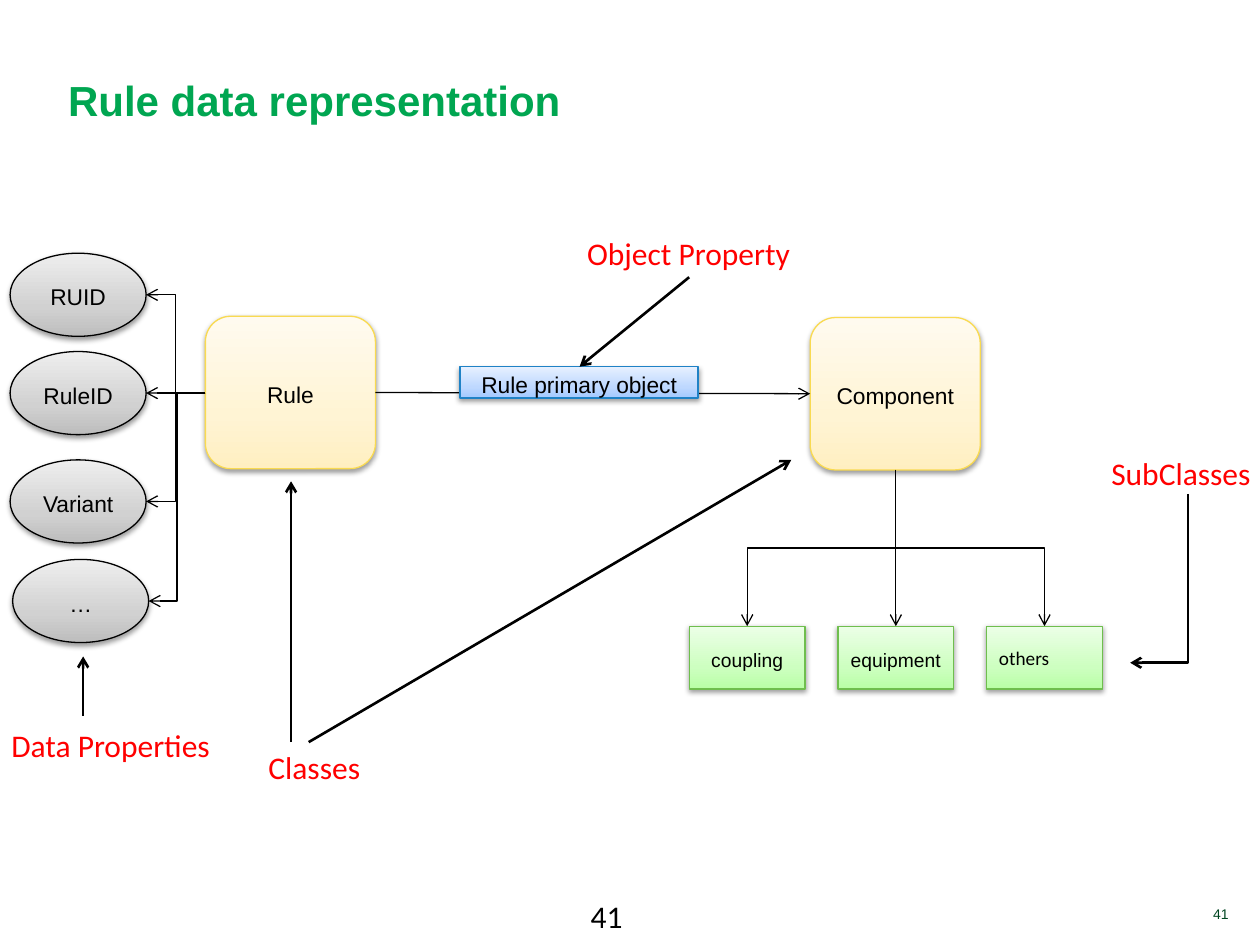
from collections import namedtuple
from dataclasses import dataclass

from lxml import etree
from pptx import Presentation
from pptx.dml.color import RGBColor
from pptx.enum.shapes import MSO_CONNECTOR, MSO_SHAPE
from pptx.enum.text import MSO_ANCHOR, PP_ALIGN
from pptx.oxml import parse_xml
from pptx.oxml.ns import nsdecls, qn
from pptx.util import Inches, Pt

STRAIGHT, ELBOW = MSO_CONNECTOR.STRAIGHT, MSO_CONNECTOR.ELBOW
RECT, ROUND, OVAL = MSO_SHAPE.RECTANGLE, MSO_SHAPE.ROUNDED_RECTANGLE, MSO_SHAPE.OVAL
LEFT, CENTER, RIGHT = PP_ALIGN.LEFT, PP_ALIGN.CENTER, PP_ALIGN.RIGHT
TOP, MIDDLE, BOTTOM = MSO_ANCHOR.TOP, MSO_ANCHOR.MIDDLE, MSO_ANCHOR.BOTTOM

COLS, ROWS = 100, 75
Box = namedtuple("Box", "x y w h")
Paint = namedtuple("Paint", "low mid high edge")


@dataclass(frozen=True)
class Theme:
    head: str = "Arial"
    body: str = "Calibri"
    black: str = "000000"
    green: str = "00A651"
    dark_green: str = "004621"
    red: str = "FF0000"
    yellow: Paint = Paint("FFEFC1", "FFF4D4", "FFFAEF", "F9DA51")
    blue: Paint = Paint("A3C9FF", "BED8FF", "E6F0FF", "1F82C6")
    lime: Paint = Paint("B9FFA6", "CDFFC0", "ECFFE7", "6FBE4E")
    grey: Paint = Paint("BDBDBD", "D1D1D1", "EEEEEE", "000000")
    title: int = 24
    label: int = 18
    node: int = 13
    leaf: int = 11
    footer: int = 8
    thin: float = 0.75
    thick: float = 1.5


T = Theme()


def cells(n):
    return Inches(round(n / 10, 3))


def write(s, text, size=T.node, font=T.head, color=T.black, bold=False,
          align=CENTER, anchor=MIDDLE, spacing=None):
    tf = s.text_frame
    tf.word_wrap = True
    tf.vertical_anchor = anchor
    p = tf.paragraphs[0]
    p.alignment = align
    if spacing:
        p.line_spacing = spacing
    r = p.add_run()
    r.text = text
    r.font.size, r.font.name, r.font.bold = Pt(size), font, bold
    r.font.color.rgb = RGBColor.from_string(color)


def add_node(slide, kind, box, paint, text, **fmt):
    s = slide.shapes.add_shape(kind, *map(cells, box))
    stops = "".join(
        f'<a:gs pos="{pos}"><a:srgbClr val="{color}"/></a:gs>'
        for pos, color in zip((0, 35000, 100000), paint))
    s._element.spPr.insert(2, parse_xml(
        f'<a:gradFill {nsdecls("a")} rotWithShape="1"><a:gsLst>{stops}</a:gsLst>'
        '<a:lin ang="16200000" scaled="0"/></a:gradFill>'))
    s.line.color.rgb = RGBColor.from_string(paint.edge)
    s.line.width = Pt(T.thin)
    s.shadow.inherit = False
    s._element.spPr.find(qn("a:effectLst")).append(parse_xml(
        f'<a:outerShdw {nsdecls("a")} blurRad="{Pt(3.1)}" dist="{Pt(1.6)}" '
        'dir="5400000" rotWithShape="0"><a:srgbClr val="000000">'
        '<a:alpha val="38000"/></a:srgbClr></a:outerShdw>'))
    write(s, text, **{"spacing": 1.15, **fmt})


def add_arrow(slide, start, end, kind=STRAIGHT, width=T.thin):
    s = slide.shapes.add_connector(kind, *map(cells, (*start, *end)))
    s.line.color.rgb = RGBColor.from_string(T.black)
    s.line.width = Pt(width)
    etree.SubElement(s.line._get_or_add_ln(), qn("a:tailEnd"), type="arrow")
    etree.SubElement(s._element.spPr, qn("a:effectLst"))
    return s


def add_drop(slide, start, end, bend=50000, width=T.thin):
    (x1, y1), (x2, y2) = start, end
    cx, cy = (x1 + x2) / 2, (y1 + y2) / 2
    half_w, half_h = (y2 - y1) / 2, (x2 - x1) / 2
    s = add_arrow(slide, (cx - half_w, cy + half_h), (cx + half_w, cy - half_h),
                  ELBOW, width)
    s._element.spPr.find(qn("a:xfrm")).set("rot", "5400000")
    guides = s._element.spPr.find(qn("a:prstGeom")).get_or_add_avLst()
    etree.SubElement(guides, qn("a:gd"), name="adj1", fmla=f"val {bend}")


def add_label(slide, box, text, **fmt):
    s = slide.shapes.add_textbox(*map(cells, box))
    write(s, text, **{"size": T.label, "font": T.body, "align": LEFT, "anchor": TOP,
                      **fmt})
    return s


def add_caption(slide, box, text):
    s = add_label(slide, box, text, color=T.red)
    s.text_frame.margin_left, s.text_frame.margin_right = Inches(0.09), 0


def add_title(slide, box):
    s = slide.shapes.title
    s.left, s.top, s.width, s.height = map(cells, box)
    write(s, "Rule data representation", size=T.title, color=T.green, bold=True,
          align=LEFT, anchor=BOTTOM)


def add_classes(slide, box):
    side, mid = 13.5, box.y + box.h / 2
    add_node(slide, ROUND, Box(box.x, box.y, side, box.h), T.yellow, "Rule")
    right = box.x + box.w - side
    add_node(slide, ROUND, Box(right, box.y + 0.1, side, box.h), T.yellow, "Component")
    add_arrow(slide, (box.x + side, mid), (right, mid + 0.1))
    add_node(slide, RECT, Box(box.x + 20.2, box.y + 4, 18.9, 2.5), T.blue,
             "Rule primary object")


def add_subclasses(slide, box):
    w, h = 9.2, 5
    gap = (box.w - 3 * w) / 2
    root = box.x + box.w / 2, box.y
    formats = {"coupling": {}, "equipment": {},
               "others": {"font": T.body, "align": LEFT, "spacing": None}}
    for i, (text, fmt) in enumerate(formats.items()):
        x, y = box.x + i * (w + gap), box.y + box.h - h
        add_drop(slide, root, (x + w / 2, y))
        add_node(slide, RECT, Box(x, y, w, h), T.lime, text, size=T.leaf, **fmt)


def add_properties(slide, box):
    w, h = 10.8, 6.6
    source = box.x + box.w, box.y + 11.1
    places = {"RUID": (0, 0), "RuleID": (0, 7.8), "Variant": (0, 16.4), "…": (0.2, 24.3)}
    for text, (dx, dy) in places.items():
        x, y = box.x + dx, box.y + dy
        add_node(slide, OVAL, Box(x, y, w, h), T.grey, text)
        add_arrow(slide, source, (x + w, y + h / 2), ELBOW)


def add_captions(slide, box):
    captions = {"Data Properties": (0, 39, 17.7), "Object Property": (45.7, 0, 18),
                "Classes": (20.4, 40.8, 9.1), "SubClasses": (87.3, 17.4, 12.7)}
    for text, (dx, dy, w) in captions.items():
        add_caption(slide, Box(box.x + dx, box.y + dy, w, 3.9), text)
    pointers = [((23.1, 40.8), (23.1, 20.1)), ((24.5, 40.8), (62.8, 18.4)),
                ((6.6, 38.7), (6.6, 34)), ((54.7, 3.9), (46, 11))]
    for pair in pointers:
        add_arrow(slide, *[(box.x + dx, box.y + dy) for dx, dy in pair], width=T.thick)
    add_drop(slide, (box.x + 94.3, box.y + 21.1), (box.x + 89.7, box.y + 34.5),
             bend=100000, width=T.thick)


def add_footer(slide, box):
    add_label(slide, Box(box.x, box.y, 8.4, 2.4), "41")
    add_label(slide, Box(box.x + box.w - 13.1, box.y + 0.7, 13.1, 2.3), "41",
              size=T.footer, font=T.head, color=T.dark_green, align=RIGHT, anchor=BOTTOM)


def main():
    prs = Presentation()
    prs.slide_width, prs.slide_height = cells(COLS), cells(ROWS)
    slide = prs.slides.add_slide(prs.slide_layouts[5])
    add_title(slide, Box(4.4, 3.6, 92.3, 6.8))
    add_classes(slide, Box(16.3, 25.1, 61.5, 12.1))
    add_subclasses(slide, Box(54.7, 37.3, 32.8, 17.4))
    add_properties(slide, Box(0.8, 20.1, 15.5, 30.9))
    add_captions(slide, Box(0, 18.1, COLS, 44.7))
    add_footer(slide, Box(45.9, 70.7, 52.6, 3))
    prs.save("out.pptx")


if __name__ == "__main__":
    main()
